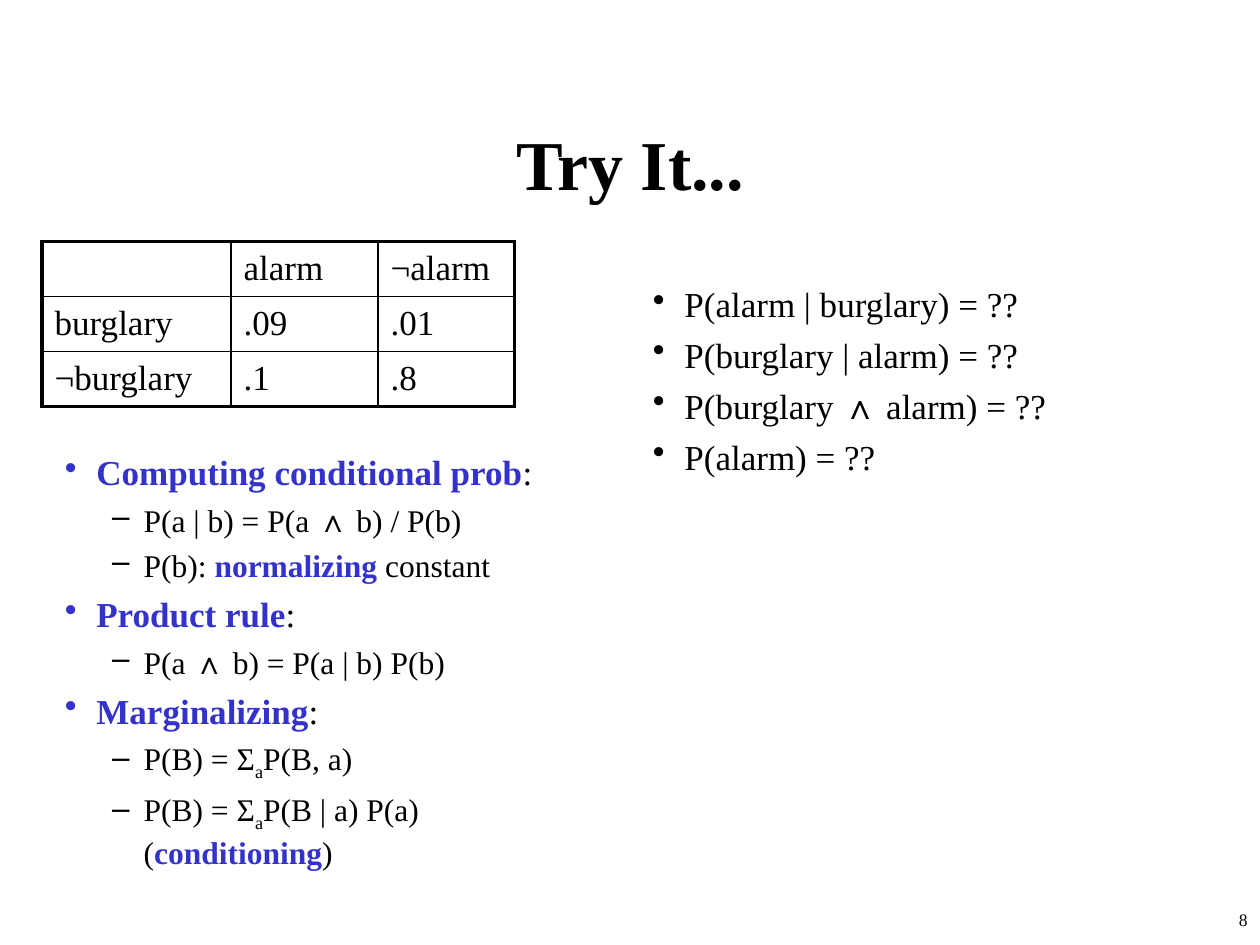
from typing import NamedTuple

from lxml import etree
from pptx import Presentation
from pptx.dml.color import RGBColor
from pptx.enum.text import MSO_ANCHOR, PP_ALIGN
from pptx.oxml.ns import qn
from pptx.util import Pt

LEFT, CENTER, RIGHT = PP_ALIGN.LEFT, PP_ALIGN.CENTER, PP_ALIGN.RIGHT
TOP, MIDDLE = MSO_ANCHOR.TOP, MSO_ANCHOR.MIDDLE
FONT = "Times New Roman"
BLACK, BLUE = "000000", "3333CC"
THIN, THICK = 1, 2.25
INDENT = 18


class Span(NamedTuple):
    text: str
    color: str = BLACK
    bold: bool = False
    subscript: bool = False


class Level(NamedTuple):
    size: float
    bullet: str
    margin: float


class Item(NamedTuple):
    level: Level
    spans: list[Span]


class Box(NamedTuple):
    left: float
    top: float
    width: float
    height: float


RULE = Level(20, "•", 18)
DETAIL = Level(18, "–", 45)


def rgb(color: str) -> RGBColor:
    return RGBColor.from_string(color)


def term(text: str) -> Span:
    return Span(text, BLUE, True)


def heading(text: str) -> Item:
    return Item(RULE, [term(text), Span(":")])


def detail(*spans: Span) -> Item:
    return Item(DETAIL, list(spans))


def sum_over_a(summand: str) -> list[Span]:
    return [Span("P(B) = Σ"), Span("a", subscript=True), Span(summand)]


def add_span(paragraph, span: Span, size: float) -> None:
    run = paragraph.add_run()
    run.text = span.text
    style = {"name": FONT, "size": Pt(size), "bold": span.bold}
    for attribute, value in style.items():
        setattr(run.font, attribute, value)
    run.font.color.rgb = rgb(span.color)
    if span.subscript:
        run.font._element.set("baseline", "-25000")


def add_frame(slide, box: Box, anchor=TOP, margin_top: float = 3.6):
    frame = slide.shapes.add_textbox(*map(Pt, box)).text_frame
    layout = {"word_wrap": True, "vertical_anchor": anchor, "margin_top": Pt(margin_top)}
    for attribute, value in layout.items():
        setattr(frame, attribute, value)
    return frame


def add_line(slide, box: Box, span: Span, size: float, alignment, anchor=TOP) -> None:
    paragraph = add_frame(slide, box, anchor).paragraphs[0]
    paragraph.alignment = alignment
    add_span(paragraph, span, size)


def add_list(slide, box: Box, items: list[Item]) -> None:
    frame = add_frame(slide, box, margin_top=5.6)
    for index, (level, spans) in enumerate(items):
        paragraph = frame.add_paragraph() if index else frame.paragraphs[0]
        properties = paragraph._p.get_or_add_pPr()
        properties.set("marL", str(Pt(level.margin)))
        properties.set("indent", str(Pt(-INDENT)))
        etree.SubElement(properties, qn("a:buChar")).set("char", level.bullet)
        paragraph.alignment = LEFT
        paragraph.space_before = Pt(level.size / 4 if index else 0)
        for span in spans:
            add_span(paragraph, span, level.size)


def add_border(cell, side: str, width: float) -> None:
    line = etree.SubElement(cell._tc.get_or_add_tcPr(), qn(f"a:ln{side}"))
    line.set("w", str(Pt(width)))
    fill = etree.SubElement(line, qn("a:solidFill"))
    etree.SubElement(fill, qn("a:srgbClr")).set("val", BLACK)


def add_probabilities(slide, box: Box, widths: list[float], rows: list[list[str]]) -> None:
    """Draw the joint distribution with a thick outer and thin inner border."""
    table = slide.shapes.add_table(len(rows), len(widths), *map(Pt, box)).table
    table.first_row = table.horz_banding = False
    for column, width in zip(table.columns, widths):
        column.width = Pt(width)
    last_row, last_column = len(rows) - 1, len(widths) - 1
    for r, row in enumerate(rows):
        table.rows[r].height = Pt(box.height / len(rows))
        for c, text in enumerate(row):
            cell = table.cell(r, c)
            outer = {"L": c == 0, "R": c == last_column, "T": r == 0, "B": r == last_row}
            for side, is_outer in outer.items():
                add_border(cell, side, THICK if is_outer else THIN)
            cell.fill.background()
            cell.vertical_anchor = MIDDLE
            if text:
                add_span(cell.text_frame.paragraphs[0], Span(text), 20)


def main() -> None:
    deck = Presentation()
    deck.slide_width, deck.slide_height = Pt(720), Pt(540)
    slide = deck.slides.add_slide(deck.slide_layouts[6])

    add_line(slide, Box(54, 48, 612, 90), Span("Try It...", bold=True), 40, CENTER, MIDDLE)
    add_line(slide, Box(570, 516, 150, 24), Span("8"), 10, RIGHT)

    add_probabilities(slide, Box(24, 138, 270, 94.2), [108, 84, 78], [
        ["", "alarm", "¬alarm"],
        ["burglary", ".09", ".01"],
        ["¬burglary", ".1", ".8"],
    ])

    add_list(slide, Box(30, 252, 300, 270), [
        heading("Computing conditional prob"),
        detail(Span("P(a | b) = P(a ∧ b) / P(b)")),
        detail(Span("P(b): "), term("normalizing"), Span(" constant")),
        heading("Product rule"),
        detail(Span("P(a ∧ b) = P(a | b) P(b)")),
        heading("Marginalizing"),
        detail(*sum_over_a("P(B, a)")),
        detail(*sum_over_a("P(B | a) P(a) ("), term("conditioning"), Span(")")),
    ])

    questions = ["alarm | burglary", "burglary | alarm", "burglary ∧ alarm", "alarm"]
    add_list(slide, Box(366, 156, 300, 324),
             [Item(RULE, [Span(f"P({event}) = ??")]) for event in questions])

    deck.save("out.pptx")


if __name__ == "__main__":
    main()
